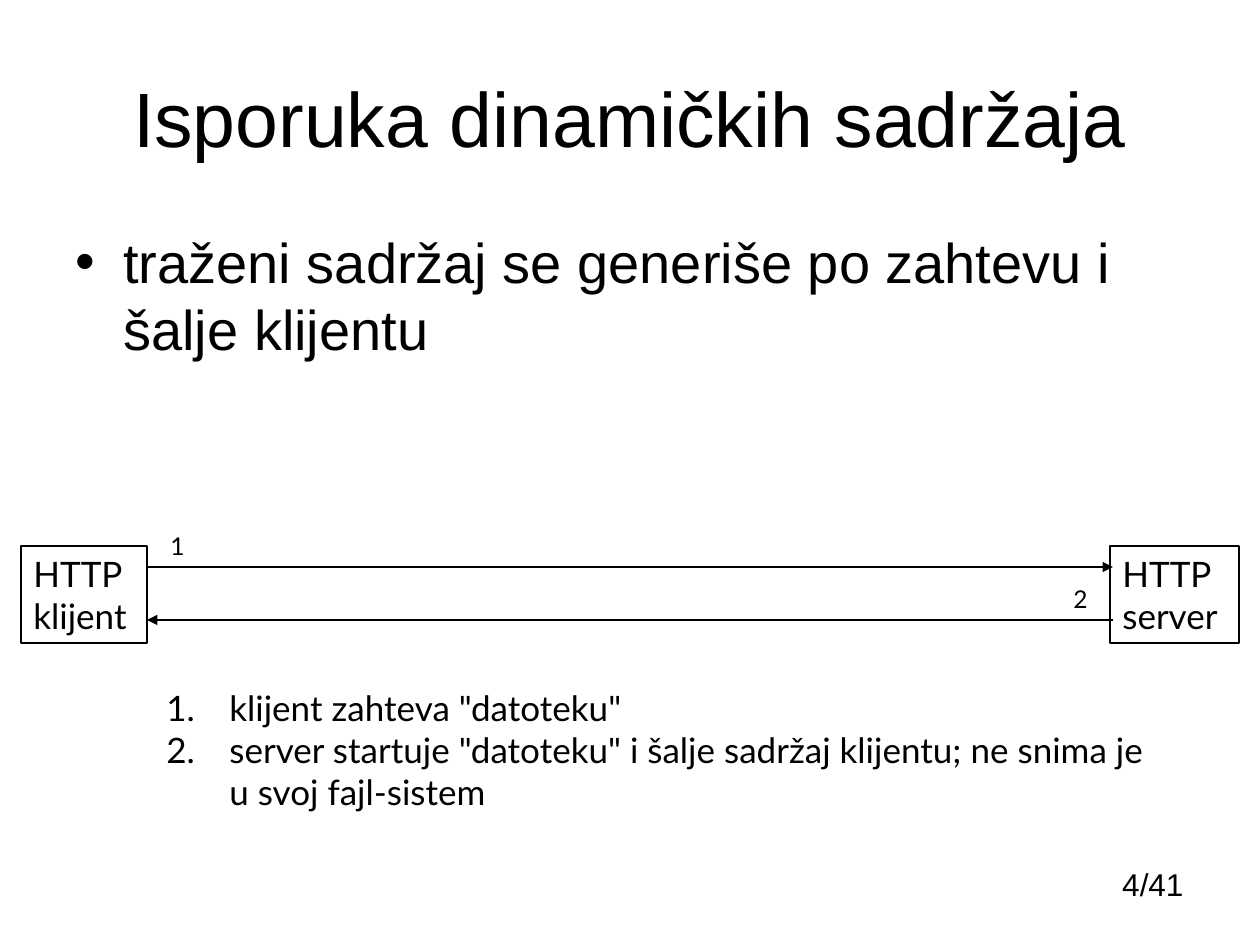
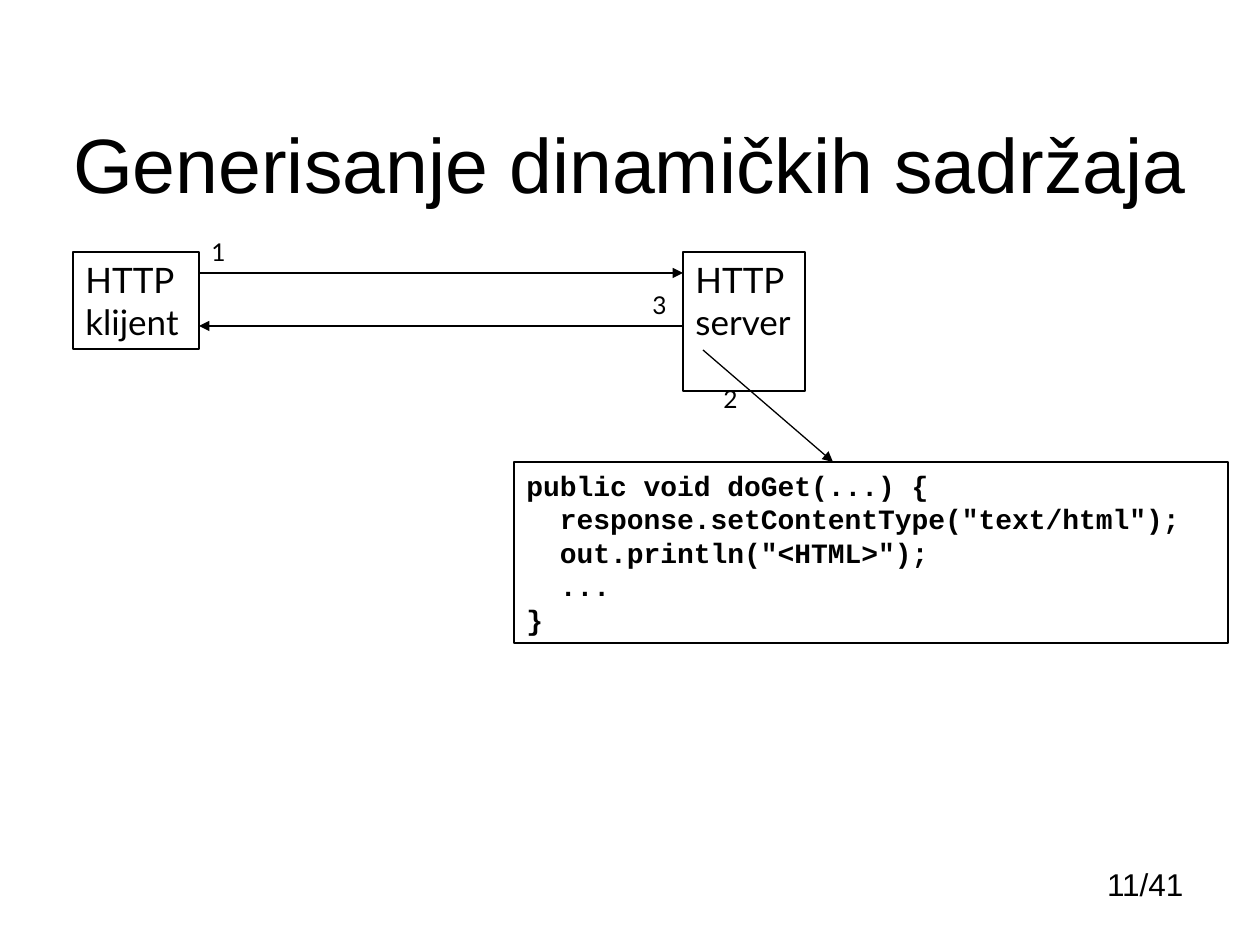
from lxml.etree import SubElement
from pptx import Presentation
from pptx.dml.color import RGBColor
from pptx.enum.shapes import MSO_CONNECTOR, MSO_SHAPE
from pptx.enum.text import MSO_ANCHOR, MSO_AUTO_SIZE, PP_ALIGN
from pptx.oxml.ns import qn
from pptx.util import Pt

EMU_PER_PX = 914400 / 126
COLORS = {"ink": "000000", "paper": "FFFFFF"}
HEADING_FONT, LABEL_FONT, CODE_FONT = "Arial", "Lato", "Courier New"
LAST_PAGE = 41


def px(*lengths):
    return [round(length * EMU_PER_PX) for length in lengths]


def color(name):
    return RGBColor.from_string(COLORS[name])


def write(frame, text, font=LABEL_FONT, size=20, bold=False, align=PP_ALIGN.LEFT,
          anchor=MSO_ANCHOR.TOP, space_before=0, bullet=None, indent=0):
    frame.word_wrap = True
    frame.auto_size = MSO_AUTO_SIZE.NONE
    frame.vertical_anchor = anchor
    lines = [text] if isinstance(text, str) else text
    for index, line in enumerate(lines):
        paragraph = frame.add_paragraph() if index else frame.paragraphs[0]
        paragraph.text = line
        paragraph.alignment = align
        paragraph.space_before = Pt(space_before)
        for run in paragraph.runs:
            run.font.name = font
            run.font.size = Pt(size)
            run.font.bold = bold
            run.font.color.rgb = color("ink")
        if bullet:
            properties = paragraph._p.get_or_add_pPr()
            distance = px(indent)[0]
            properties.set("marL", str(distance))
            properties.set("indent", str(-distance))
            tag, settings = bullet
            SubElement(properties, qn("a:buFont"), typeface=font)
            SubElement(properties, qn(tag), **settings)


class Deck:
    """Holds the shared style and the slide being built."""

    def __init__(self):
        self.presentation = Presentation()
        self.presentation.slide_width, self.presentation.slide_height = px(1260, 945)
        self.slide = None

    def add_slide(self, title, page, left, top, width):
        self.slide = self.presentation.slides.add_slide(self.presentation.slide_layouts[5])
        self.slide.background.fill.solid()
        self.slide.background.fill.fore_color.rgb = color("paper")
        placeholder = self.slide.shapes.title
        (placeholder.left, placeholder.top,
         placeholder.width, placeholder.height) = px(left, top, width, 158)
        write(placeholder.text_frame, title, font=HEADING_FONT, size=44,
              align=PP_ALIGN.CENTER, anchor=MSO_ANCHOR.MIDDLE)
        self.text(f"{page}/{LAST_PAGE}", 968, 859, 228, 50, font=HEADING_FONT,
                  size=18, align=PP_ALIGN.RIGHT)

    def text(self, text, left, top, width, height, **style):
        shape = self.slide.shapes.add_textbox(*px(left, top, width, height))
        write(shape.text_frame, text, **style)

    def label(self, text, left, top):
        self.text(text, left, top, 39, 43, size=14)

    def box(self, text, left, top, width, height, **style):
        shape = self.slide.shapes.add_shape(MSO_SHAPE.RECTANGLE, *px(left, top, width, height))
        shape.shadow.inherit = False
        shape.fill.background()
        shape.line.color.rgb = color("ink")
        shape.line.width = Pt(0.75)
        write(shape.text_frame, text, **style)

    def arrow(self, start_x, start_y, end_x, end_y):
        connector = self.slide.shapes.add_connector(
            MSO_CONNECTOR.STRAIGHT, *px(start_x, start_y, end_x, end_y))
        connector.line.color.rgb = color("ink")
        connector.line.width = Pt(0.75)
        properties = connector.element.spPr
        SubElement(properties.find(qn("a:ln")), qn("a:tailEnd"), type="triangle")
        SubElement(properties, qn("a:effectLst"))

    def exchange(self, top, client_left, server_left, server_width, server_height,
                 arrow_end, request, reply):
        client_width = 126
        client_right = client_left + client_width
        request_y, reply_y = top + 21, top + 74
        self.box(["HTTP", "klijent"], client_left, top, client_width, 97)
        self.box(["HTTP", "server"], server_left, top, server_width, server_height)
        self.arrow(client_right, request_y, arrow_end, request_y)
        self.arrow(arrow_end, reply_y, client_right, reply_y)
        for (number, left), y in ((request, request_y), (reply, reply_y)):
            self.label(number, left, y - 42)


def build_delivery(deck):
    deck.add_slide("Isporuka dinamičkih sadržaja", 4, 63, 38, 1134)
    deck.text("traženi sadržaj se generiše po zahtevu i šalje klijentu",
              63, 221, 1134, 161, font=HEADING_FONT, size=32, space_before=8,
              bullet=("a:buChar", {"char": "•"}), indent=48)
    deck.exchange(546, 21, 1110, 129, 97, 1113, request=("1", 158), reply=("2", 1061))
    deck.text(['klijent zahteva "datoteku"',
               'server startuje "datoteku" i šalje sadržaj klijentu; ne snima je\n'
               'u svoj fajl-sistem'],
              154, 680, 1079, 139,
              bullet=("a:buAutoNum", {"type": "arabicPeriod"}), indent=63)


def build_generation(deck):
    deck.add_slide("Generisanje dinamičkih sadržaja", 11, 42, 84, 1176)
    deck.exchange(252, 73, 683, 122, 139, 683, request=("1", 199), reply=("3", 640))
    deck.label("2", 711, 378)
    deck.box(["public void doGet(...) {",
              '  response.setContentType("text/html");',
              '  out.println("<HTML>");',
              "  ...",
              "}"],
             514, 462, 714, 181, font=CODE_FONT, size=16, bold=True)
    deck.arrow(703, 350, 833, 462)


def main():
    deck = Deck()
    build_delivery(deck)
    build_generation(deck)
    deck.presentation.save("out.pptx")


if __name__ == "__main__":
    main()
